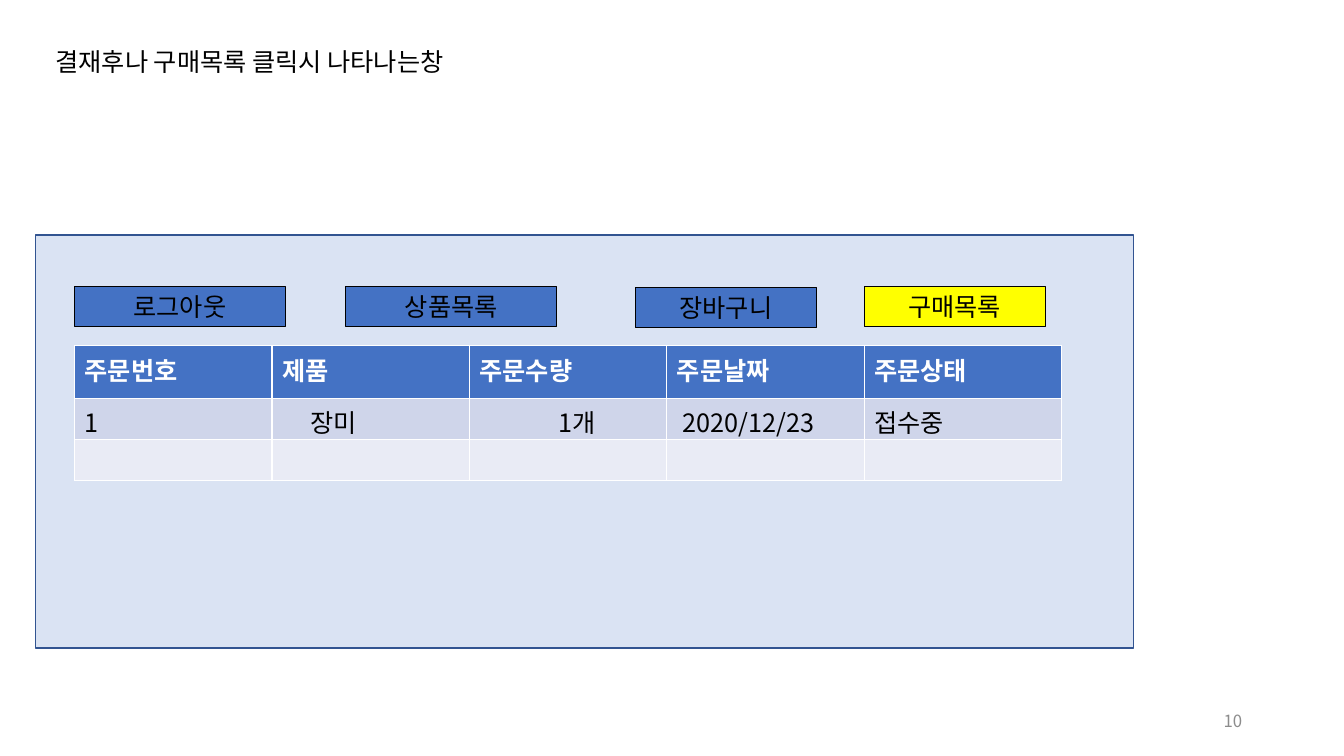
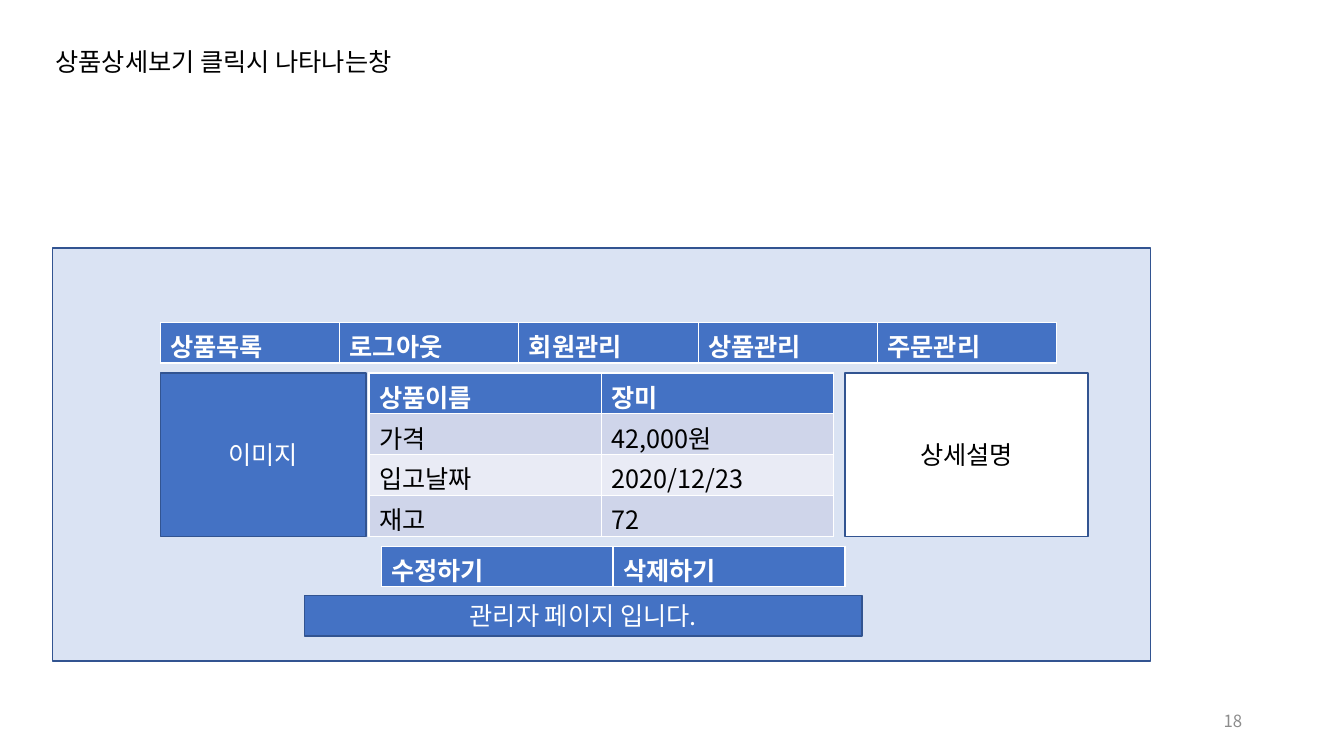
from dataclasses import dataclass

from lxml.etree import SubElement
from pptx import Presentation
from pptx.dml.color import RGBColor
from pptx.enum.shapes import MSO_SHAPE
from pptx.enum.text import MSO_ANCHOR, MSO_AUTO_SIZE, PP_ALIGN
from pptx.oxml.ns import qn
from pptx.util import Inches, Pt

FONT = "Noto Sans CJK KR"
BLACK = RGBColor(0x00, 0x00, 0x00)
WHITE = RGBColor(0xFF, 0xFF, 0xFF)
BLUE = RGBColor(0x44, 0x72, 0xC4)
NAVY = RGBColor(0x32, 0x54, 0x91)
PALE_BLUE = RGBColor(0xDA, 0xE3, 0xF3)
YELLOW = RGBColor(0xFF, 0xFF, 0x00)
GRAY = RGBColor(0x8C, 0x8C, 0x8C)
BANDS = (RGBColor(0xE9, 0xEB, 0xF5), RGBColor(0xCF, 0xD5, 0xEA))

PANEL_W, PANEL_H = 10.89, 4.1
ROW_H = 0.41
BAR_H = 0.4


@dataclass
class Box:
    left: float
    top: float
    width: float
    height: float
    text: str = ""
    fill: RGBColor = BLUE
    color: RGBColor = WHITE
    line: RGBColor = NAVY
    line_width: float = 1
    anchor: MSO_ANCHOR = MSO_ANCHOR.MIDDLE


@dataclass
class Grid:
    left: float
    top: float
    width: float
    rows: list[list[str]]
    heights: list[float]


def nav_button(left: float, width: float, text: str,
               fill: RGBColor = BLUE, top: float = 2.84) -> Box:
    return Box(left, top, width, BAR_H, text, fill, BLACK, BLACK, 0.75,
               MSO_ANCHOR.TOP)


def set_text(tf, text: str, color: RGBColor, size: float = 18,
             align=PP_ALIGN.LEFT, bold: bool = False) -> None:
    tf.text = text
    p = tf.paragraphs[0]
    p.alignment = align
    for r in p.runs:
        r.font.name = FONT
        r.font.size = Pt(size)
        r.font.bold = bold
        r.font.color.rgb = color
        SubElement(r.font._element, qn("a:ea")).set("typeface", FONT)


def add_box(s, box: Box) -> None:
    sp = s.shapes.add_shape(MSO_SHAPE.RECTANGLE, Inches(box.left), Inches(box.top),
                            Inches(box.width), Inches(box.height))
    sp.shadow.inherit = False
    sp.fill.solid()
    sp.fill.fore_color.rgb = box.fill
    sp.line.color.rgb = box.line
    sp.line.width = Pt(box.line_width)
    if box.text:
        sp.text_frame.vertical_anchor = box.anchor
        set_text(sp.text_frame, box.text, box.color, align=PP_ALIGN.CENTER)


def add_grid(s, grid: Grid):
    """Add a table with a blue header row and banded body rows."""
    table = s.shapes.add_table(len(grid.rows), len(grid.rows[0]), Inches(grid.left),
                               Inches(grid.top), Inches(grid.width),
                               Inches(sum(grid.heights))).table
    for i, (texts, height) in enumerate(zip(grid.rows, grid.heights)):
        header = i == 0
        table.rows[i].height = Inches(height)
        for cell, text in zip(table.rows[i].cells, texts):
            cell.fill.solid()
            cell.fill.fore_color.rgb = BLUE if header else BANDS[i % 2]
            set_text(cell.text_frame, text, WHITE if header else BLACK, bold=header)
    return table


def add_page(prs, title: str, number: int, panel_left: float, panel_top: float):
    """Add a slide with its title, page number and background panel."""
    s = prs.slides.add_slide(prs.slide_layouts[5])
    sp = s.shapes.title
    sp.left, sp.top = Inches(0.45), Inches(0.41)
    sp.width, sp.height = Inches(12.65), Inches(0.4)
    tf = sp.text_frame
    tf.word_wrap = True
    tf.auto_size = MSO_AUTO_SIZE.NONE
    tf.vertical_anchor = MSO_ANCHOR.TOP
    set_text(tf, title, BLACK)

    tf = s.shapes.add_textbox(Inches(9.42), Inches(6.95),
                              Inches(3), Inches(0.4)).text_frame
    tf.word_wrap = True
    tf.vertical_anchor = MSO_ANCHOR.MIDDLE
    set_text(tf, str(number), GRAY, 12, PP_ALIGN.RIGHT)

    add_box(s, Box(panel_left, panel_top, PANEL_W, PANEL_H, fill=PALE_BLUE))
    return s


def add_order_list(prs) -> None:
    s = add_page(prs, "결재후나 구매목록 클릭시 나타나는창", 10, 0.35, 2.33)
    for button in (
        nav_button(0.74, 2.09, "로그아웃"),
        nav_button(3.43, 2.09, "상품목록"),
        nav_button(6.3, 1.8, "장바구니", top=2.85),
        nav_button(8.57, 1.8, "구매목록", YELLOW),
    ):
        add_box(s, button)
    orders = add_grid(s, Grid(0.74, 3.43, 9.79, [
        ["주문번호", "제품", "주문수량", "주문날짜", "주문상태"],
        ["1", "장미", "1개", "2020/12/23", "접수중"],
        [""] * 5,
    ], [0.52, ROW_H, ROW_H]))
    for col, indent in ((1, 0.38), (2, 0.88), (3, 0.16)):
        orders.cell(1, col).margin_left = Inches(indent)


def add_product_detail(prs) -> None:
    s = add_page(prs, "상품상세보기 클릭시 나타나는창", 18, 0.52, 2.46)
    body_top, body_h = 3.7, 4 * ROW_H - 0.02
    for grid in (
        Grid(1.59, 3.2, 8.89,
             [["상품목록", "로그아웃", "회원관리", "상품관리", "주문관리"]], [BAR_H]),
        Grid(3.66, body_top, 4.61, [
            ["상품이름", "장미"],
            ["가격", "42,000원"],
            ["입고날짜", "2020/12/23"],
            ["재고", "72"],
        ], [body_h / 4] * 4),
        Grid(3.78, 5.42, 4.6, [["수정하기", "삭제하기"]], [BAR_H]),
    ):
        add_grid(s, grid)
    for box in (
        Box(1.59, body_top, 2.04, body_h, "이미지"),
        Box(8.38, body_top, 2.41, body_h, "상세설명", WHITE, BLACK),
        Box(3.02, 5.91, 5.53, BAR_H, "관리자 페이지 입니다."),
    ):
        add_box(s, box)


def main() -> None:
    prs = Presentation()
    prs.slide_width, prs.slide_height = Inches(13.33), Inches(7.5)
    add_order_list(prs)
    add_product_detail(prs)
    prs.save("out.pptx")


if __name__ == "__main__":
    main()
